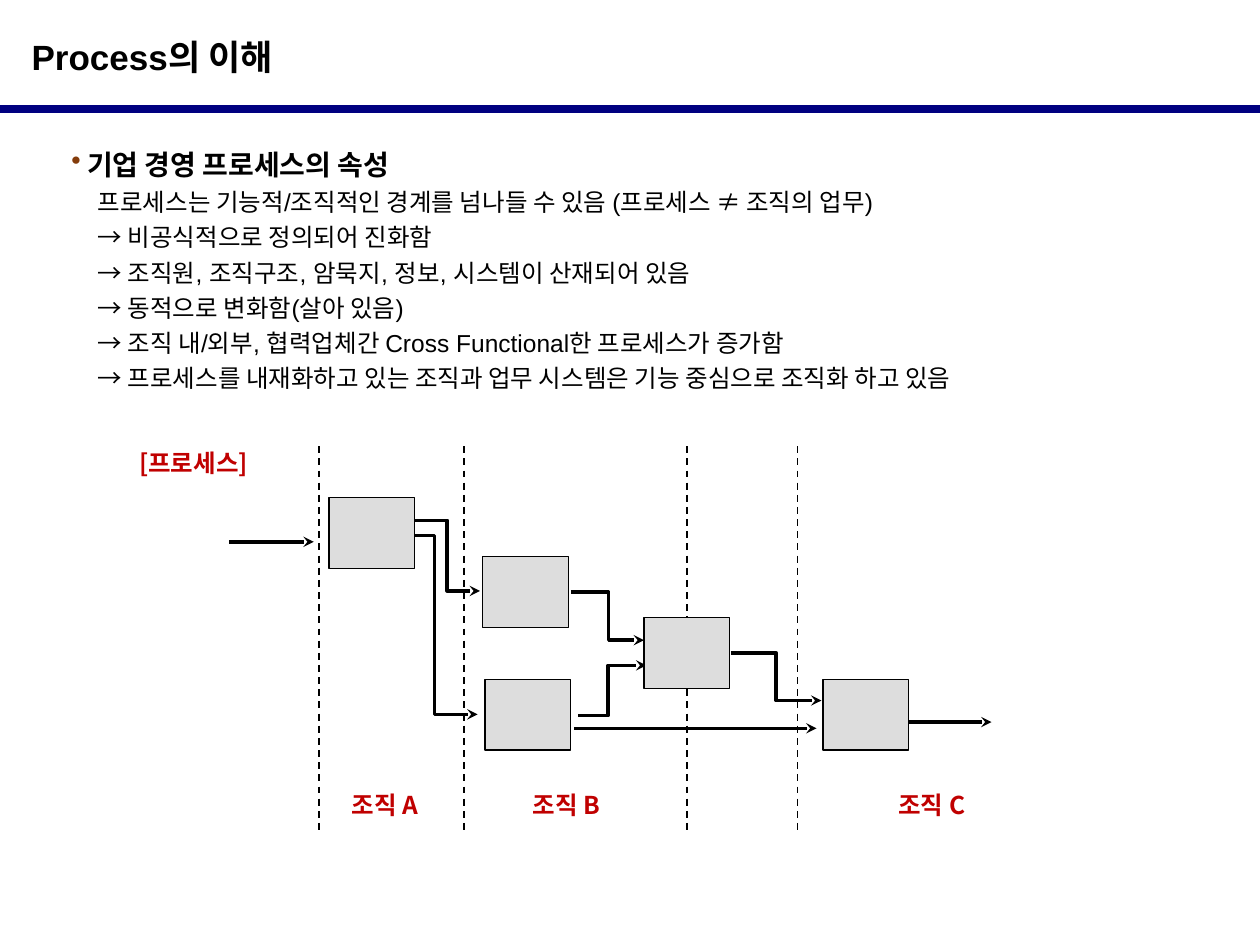
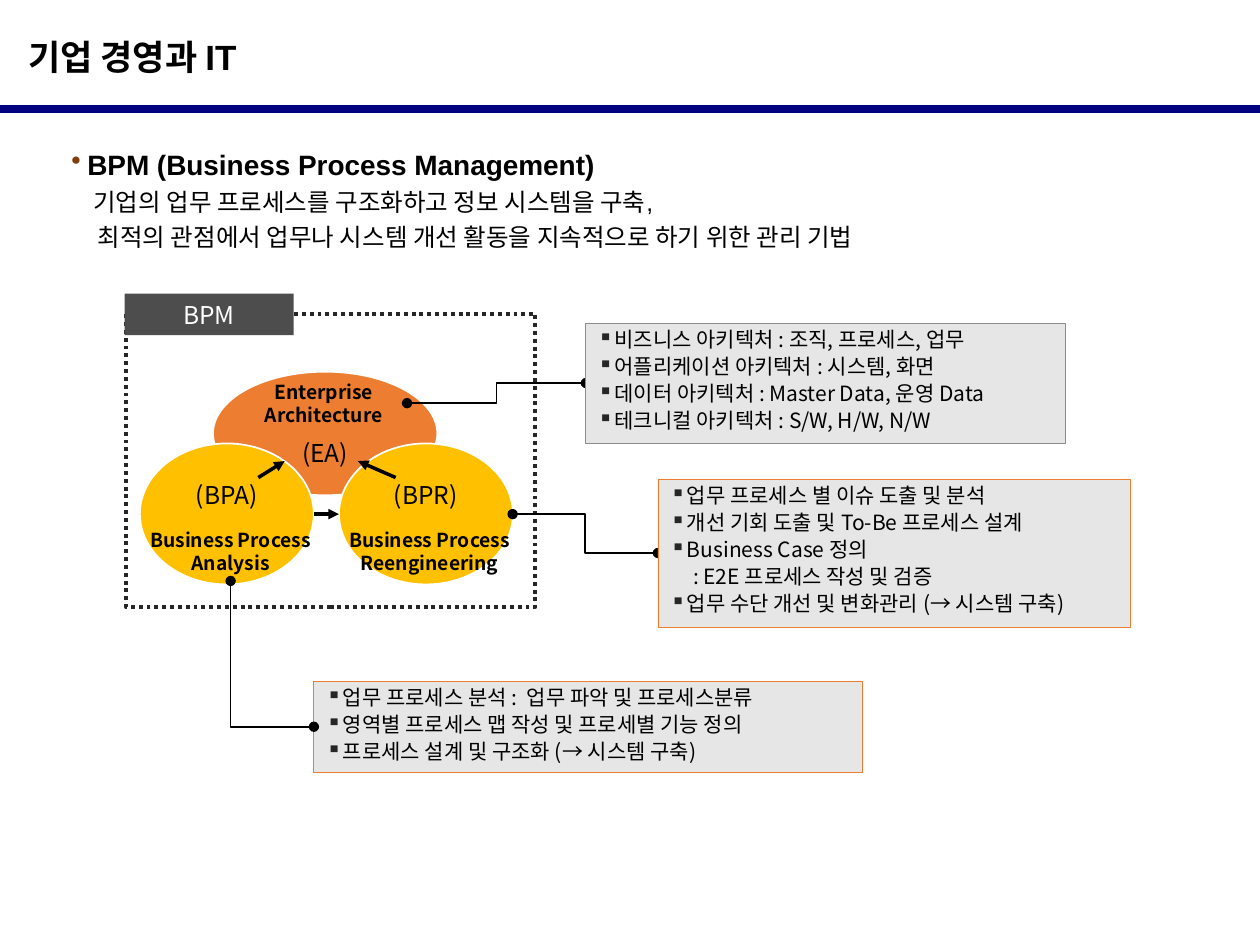
from lxml import etree
from pptx import Presentation
from pptx.dml.color import RGBColor
from pptx.enum import dml, shapes, text
from pptx.oxml.ns import qn
from pptx.util import Pt

BLACK = RGBColor(0x00, 0x00, 0x00)
WHITE = RGBColor(0xFF, 0xFF, 0xFF)
NAVY = RGBColor(0x00, 0x00, 0x80)
RED = RGBColor(0xC0, 0x00, 0x00)
BROWN = RGBColor(0x84, 0x3C, 0x0B)
CHARCOAL = RGBColor(0x26, 0x26, 0x26)
TAB_GRAY = RGBColor(0x4D, 0x4D, 0x4D)
STEP_GRAY = RGBColor(0xDD, 0xDD, 0xDD)
PANEL_GRAY = RGBColor(0xE7, 0xE6, 0xE6)
EDGE_GRAY = RGBColor(0x8C, 0x8C, 0x8C)
ORANGE = RGBColor(0xED, 0x7D, 0x31)
AMBER = RGBColor(0xFF, 0xC0, 0x00)
LATIN = "Arial"
HANGUL = "Noto Sans CJK KR"
CENTER = text.PP_ALIGN.CENTER
MIDDLE = text.MSO_ANCHOR.MIDDLE
TOP = text.MSO_ANCHOR.TOP
RECTANGLE = shapes.MSO_SHAPE.RECTANGLE
OVAL = shapes.MSO_SHAPE.OVAL
STRAIGHT = shapes.MSO_CONNECTOR.STRAIGHT
ELBOW = shapes.MSO_CONNECTOR.ELBOW


def write(para, words, size, color=BLACK, bold=False, font=HANGUL, align=None):
    """Fill a paragraph and set its font for Latin and Korean text."""
    para.text = words
    para.alignment = align
    para.font.size = Pt(size)
    para.font.bold = bold
    para.font.color.rgb = color
    para.font.name = font
    latin = para._p.pPr.find(qn("a:defRPr")).find(qn("a:latin"))
    east = etree.Element(qn("a:ea"), typeface=HANGUL)
    latin.addnext(east)


def indent(para, margin, bullet=None, color=None):
    """Indent a paragraph, hanging a coloured bullet in the margin if given."""
    props = para._p.pPr
    props.set("marL", str(int(Pt(margin))))
    props.set("indent", str(-int(Pt(margin)) if bullet else 0))
    if bullet:
        tint = etree.Element(qn("a:buClr"))
        etree.SubElement(tint, qn("a:srgbClr"), val=str(color))
        mark = etree.Element(qn("a:buChar"), char=bullet)
        for part in (tint, mark):
            props.find(qn("a:defRPr")).addprevious(part)


def add_text(page, left, top, width, height, inset=None):
    """Add a wrapping text box and return its frame."""
    frame = page.shapes.add_textbox(Pt(left), Pt(top), Pt(width), Pt(height)).text_frame
    frame.word_wrap = True
    if inset is not None:
        (frame.margin_left, frame.margin_top,
         frame.margin_right, frame.margin_bottom) = map(Pt, inset)
    return frame


def add_box(page, kind, left, top, width, height, fill=None, edge=None, weight=0.75):
    """Add a flat preset shape."""
    box = page.shapes.add_shape(kind, Pt(left), Pt(top), Pt(width), Pt(height))
    box.shadow.inherit = False
    if fill is None:
        box.fill.background()
    else:
        box.fill.solid()
        box.fill.fore_color.rgb = fill
    if edge is None:
        box.line.fill.background()
    else:
        box.line.color.rgb = edge
        box.line.width = Pt(weight)
    return box


def style_line(item, color, weight, head=None, tail=None):
    """Set the stroke of a line and the marks at its ends."""
    item.line.color.rgb = color
    item.line.width = Pt(weight)
    stroke = item._element.spPr.find(qn("a:ln"))
    for tag, mark in (("a:headEnd", head), ("a:tailEnd", tail)):
        if mark:
            etree.SubElement(stroke, qn(tag), type=mark)


def add_line(page, x1, y1, x2, y2, weight, color=BLACK, kind=STRAIGHT, head=None, tail=None):
    """Add a connector without a shadow."""
    line = page.shapes.add_connector(kind, Pt(x1), Pt(y1), Pt(x2), Pt(y2))
    style_line(line, color, weight, head, tail)
    etree.SubElement(line._element.spPr, qn("a:effectLst"))
    return line


def add_step_arrow(page, x1, y1, bend, x2, y2):
    """Add an arrow that runs across, turns at the bend and runs across again."""
    builder = page.shapes.build_freeform(Pt(x1), Pt(y1))
    corners = [(bend, y1), (bend, y2), (x2, y2)]
    builder.add_line_segments([(Pt(x), Pt(y)) for x, y in corners], close=False)
    arrow = builder.convert_to_shape()
    arrow.shadow.inherit = False
    arrow.fill.background()
    style_line(arrow, BLACK, 2, tail="stealth")


def add_page(deck, title, title_indent):
    """Add a blank page with its title and navy rule."""
    page = deck.slides.add_slide(deck.slide_layouts[6])
    add_line(page, 0, 62.5, 720, 62.5, 4.5, NAVY)
    para = add_text(page, 0, 16.6, 720, 31.7).paragraphs[0]
    write(para, title, 20, bold=True, font=LATIN)
    indent(para, title_indent)
    return page


def add_intro(page, left, top, width, height, heading, lines):
    """Add a bulleted heading over indented lines of text."""
    frame = add_text(page, left, top, width, height)
    para = frame.paragraphs[0]
    para.line_spacing = 1.2
    write(para, heading, 16, bold=True, font=LATIN, align=text.PP_ALIGN.JUSTIFY)
    indent(para, 9, "•", BROWN)
    for margin, words in lines:
        para = frame.add_paragraph()
        para.line_spacing = 1.2
        write(para, words, 14, font=LATIN, align=text.PP_ALIGN.JUSTIFY)
        indent(para, margin)


def add_process_flow(page, left, top, height):
    """Draw process steps that cross the borders between organisations."""
    step_arrows = [
        (164.2, 42.4, 183.6, 202.3, 82.7), (164.2, 51, 176.4, 200.9, 153.2),
        (254.2, 83.4, 275.8, 296, 110.8), (258.5, 154, 275.5, 297.4, 125.2),
        (345.6, 118, 371.5, 397.4, 145.3),
    ]
    straight_arrows = [(59, 107.3, 54.6), (256.3, 394.6, 161.2), (446.4, 494.6, 157.6)]
    steps = [(116, 29.4), (203.8, 63.2), (205.2, 133.1), (398.2, 133.1), (296, 97.8)]
    labels = [(0.7, 1.3, "[프로세스]"), (110.2, 196.4, "조직 A"),
              (213.8, 196.4, "조직 B"), (422.6, 196.4, "조직 C")]
    for x1, y1, bend, x2, y2 in step_arrows:
        add_step_arrow(page, left + x1, top + y1, left + bend, left + x2, top + y2)
    for x1, x2, y in straight_arrows:
        add_line(page, left + x1, top + y, left + x2, top + y, 2, tail="stealth")
    for x in (110.2, 193, 320.4, 383.8):
        border = add_line(page, left + x, top, left + x, top + height, 1)
        border.line.dash_style = dml.MSO_LINE.DASH
    for x, y in steps:
        add_box(page, RECTANGLE, left + x, top + y, 49, 40.5, STEP_GRAY, BLACK)
    for x, y, words in labels:
        frame = add_text(page, left + x, top + y, 82.8, 17.3, (0, 0, 7, 0))
        write(frame.paragraphs[0], words, 14, RED, True, align=CENTER)


def add_bpm_cluster(page, left, top, width, height):
    """Draw the dotted BPM frame with its three linked ovals."""
    ovals = [
        (49.7, 44.4, 128.2, 70.6, ORANGE, "(EA)", 22, 0),
        (7.9, 85.4, 99.4, 80.6, AMBER, "(BPA)", 0, 22),
        (121.7, 85.4, 99.4, 80.6, AMBER, "(BPR)", 0, 22),
    ]
    names = [(65.5, 45.8, 95, "Enterprise Architecture"),
             (-0.7, 130.1, 121, "Business Process Analysis"),
             (113, 130.1, 121, "Business Process Reengineering")]
    arrows = [(75.6, 104.9, 90.7, 95.5), (107.3, 125.8, 121.7, 125.8),
              (154.1, 104.9, 132.5, 95.5)]
    border = add_box(page, RECTANGLE, left, top + 11.3, width, height - 11.3,
                     edge=CHARCOAL, weight=2.25)
    border.line.dash_style = dml.MSO_LINE.ROUND_DOT
    tab = add_box(page, RECTANGLE, left - 0.7, top - 0.2, 96.5, 23.8, TAB_GRAY)
    tab.text_frame.vertical_anchor = MIDDLE
    write(tab.text_frame.paragraphs[0], "BPM", 14, WHITE, align=CENTER)
    for x, y, wide, high, fill, code, above, below in ovals:
        oval = add_box(page, OVAL, left + x, top + y, wide, high, fill, WHITE, 1)
        frame = oval.text_frame
        frame.word_wrap = False
        frame.vertical_anchor = MIDDLE
        frame.margin_top, frame.margin_bottom = Pt(above), Pt(below)
        write(frame.paragraphs[0], code, 14, align=CENTER)
    for x, y, wide, words in names:
        frame = add_text(page, left + x, top + y, wide, 33.8)
        write(frame.paragraphs[0], words, 11, bold=True, align=CENTER)
    for x1, y1, x2, y2 in arrows:
        add_line(page, left + x1, top + y1, left + x2, top + y2, 2, tail="triangle")


def add_callout(page, left, top, width, height, lines, edge=ORANGE):
    """Add a gray panel of bulleted lines; a line starting with a colon has no bullet."""
    panel = add_box(page, RECTANGLE, left, top, width, height, PANEL_GRAY, edge, 0.5)
    frame = panel.text_frame
    frame.word_wrap = True
    frame.vertical_anchor = TOP
    for number, words in enumerate(lines):
        para = frame.add_paragraph() if number else frame.paragraphs[0]
        para.line_spacing = 0.9
        para.space_before = Pt(2.4)
        write(para, words, 12, align=text.PP_ALIGN.LEFT)
        if words.startswith(":"):
            indent(para, 13)
        else:
            indent(para, 9.5, "▪", CHARCOAL)


def add_link(page, x1, y1, x2, y2):
    """Join a panel to its oval with an elbow that has a dot at each end."""
    return add_line(page, x1, y1, x2, y2, 1, kind=ELBOW, head="oval", tail="oval")


def build_process_page(deck):
    """Build the page on understanding processes."""
    page = add_page(deck, "Process의 이해", 11)
    lines = [
        "프로세스는 기능적/조직적인 경계를 넘나들 수 있음 (프로세스 ≠ 조직의 업무)",
        "→ 비공식적으로 정의되어 진화함",
        "→ 조직원, 조직구조, 암묵지, 정보, 시스템이 산재되어 있음",
        "→ 동적으로 변화함(살아 있음)",
        "→ 조직 내/외부, 협력업체간 Cross Functional한 프로세스가 증가함",
        "→ 프로세스를 내재화하고 있는 조직과 업무 시스템은 기능 중심으로 조직화 하고 있음",
    ]
    add_intro(page, 33.8, 77, 652.3, 152.6, "기업 경영 프로세스의 속성",
              [(15, words) for words in lines])
    add_process_flow(page, 72, 255, 220)


def build_bpm_page(deck):
    """Build the page on business management and IT."""
    page = add_page(deck, "기업 경영과 IT", 9)
    add_intro(page, 33.8, 77, 652.3, 71.3, "BPM (Business Process Management)", [
        (12.5, "기업의 업무 프로세스를 구조화하고 정보 시스템을 구축,"),
        (15, "최적의 관점에서 업무나 시스템 개선 활동을 지속적으로 하기 위한 관리 기법"),
    ])
    add_bpm_cluster(page, 72, 168, 234, 179)
    add_link(page, 334.8, 218.9, 232.6, 230.4)
    add_callout(page, 334.6, 184.8, 274.3, 68.4, [
        "비즈니스 아키텍처 : 조직, 프로세스, 업무",
        "어플리케이션 아키텍처 : 시스템, 화면",
        "데이터 아키텍처 : Master Data, 운영 Data",
        "테크니컬 아키텍처 : S/W, H/W, N/W",
    ], EDGE_GRAY)
    add_callout(page, 179.4, 389.2, 313.5, 52.2, [
        "업무 프로세스 분석 :  업무 파악 및 프로세스분류",
        "영역별 프로세스 맵 작성 및 프로세별 기능 정의",
        "프로세스 설계 및 구조화 (→ 시스템 구축)",
    ])
    corner = add_link(page, 179.4, 415.3, 131.8, 332)
    corner._element.spPr.find(qn("a:prstGeom")).set("prst", "bentConnector2")
    add_link(page, 376, 316, 293, 293.8)
    add_callout(page, 376, 274, 270, 84.6, [
        "업무 프로세스 별 이슈 도출 및 분석",
        "개선 기회 도출 및 To-Be 프로세스 설계",
        "Business Case 정의",
        ": E2E 프로세스 작성 및 검증",
        "업무 수단 개선 및 변화관리 (→ 시스템 구축)",
    ])


def main():
    """Build and save the deck."""
    deck = Presentation()
    deck.slide_width, deck.slide_height = Pt(720), Pt(540)
    build_process_page(deck)
    build_bpm_page(deck)
    deck.save("out.pptx")


if __name__ == "__main__":
    main()
